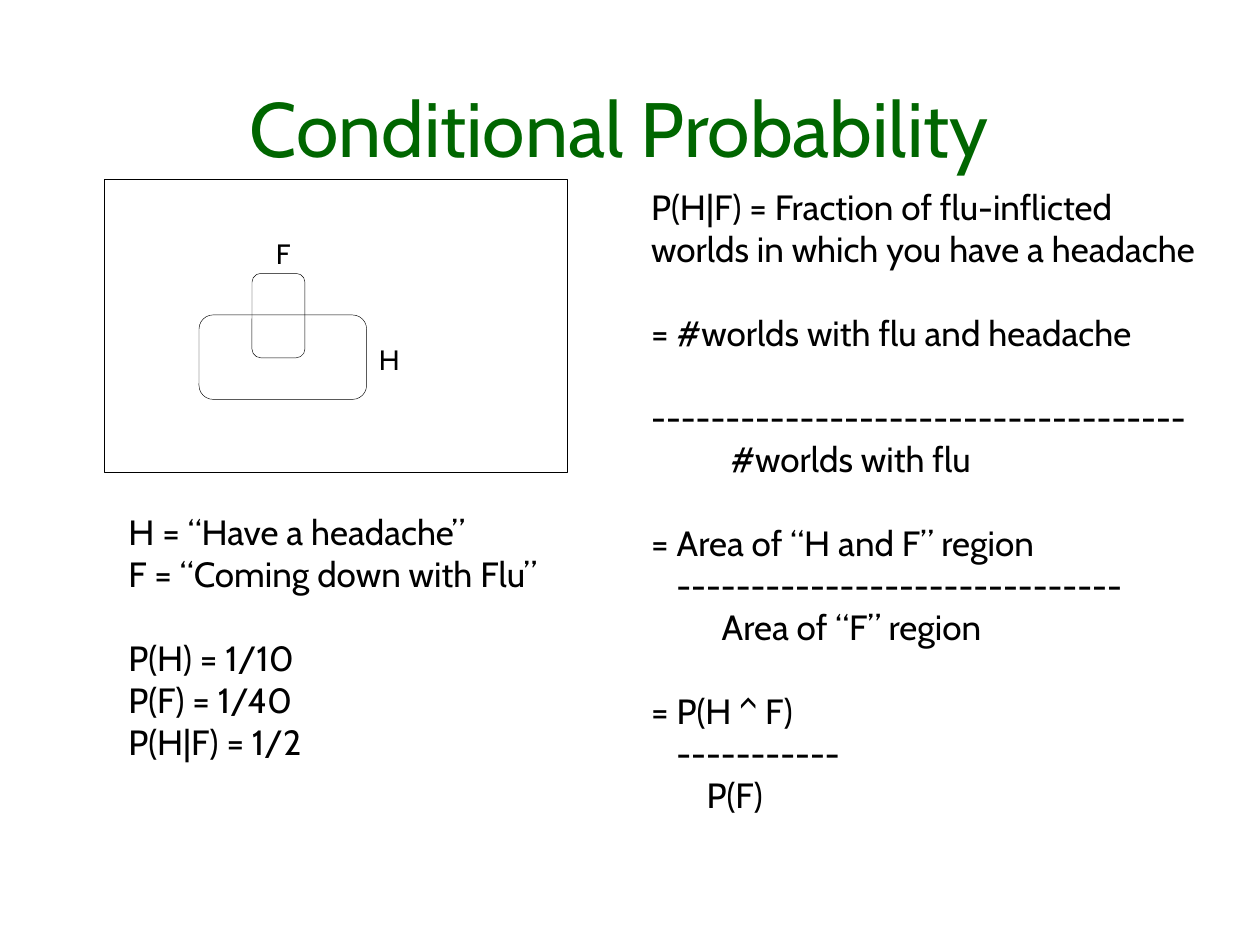
from pptx import Presentation
from pptx.dml.color import RGBColor
from pptx.enum.shapes import MSO_SHAPE
from pptx.enum.text import MSO_ANCHOR, PP_ALIGN
from pptx.util import Inches, Pt

RECT, ROUND = MSO_SHAPE.RECTANGLE, MSO_SHAPE.ROUNDED_RECTANGLE
LEFT, CENTER = PP_ALIGN.LEFT, PP_ALIGN.CENTER
TOP, BOTTOM = MSO_ANCHOR.TOP, MSO_ANCHOR.BOTTOM
FONT = "Cabin"
COLORS = {"title": "006600", "ink": "000000"}
GAP = 24  # points, one line of body text

# Content: each line is (text, indent in inches, space before in points)
TITLE = [("Conditional Probability", 0, 0)]
FACTS = [
    ("H = “Have a headache”", 0, 0),
    ("F = “Coming down with Flu”", 0, 0),
    ("P(H) = 1/10", 0, GAP),
    ("P(F) = 1/40", 0, 0),
    ("P(H|F) = 1/2", 0, 0),
]
STEPS = [
    ("P(H|F) = Fraction of flu-inflicted worlds in which you have a headache", 0, 0),
    ("= #worlds with flu and headache", 0, GAP),
    ("-" * 36, 0, GAP),
    ("#worlds with flu", 0.63, 0),
    ("= Area of “H and F” region", 0, GAP),
    ("-" * 30, 0.2, 0),
    ("Area of “F” region", 0.56, 0),
    ("= P(H ^ F)", 0, GAP),
    ("-" * 11, 0.2, 0),
    ("P(F)", 0.44, 0),
]
# Diagram: kind and box (left, top, width, height)
REGIONS = [
    (RECT, (0.83, 1.42, 3.67, 2.33)),
    (ROUND, (1.58, 2.5, 1.33, 0.67)),
    (ROUND, (2, 2.17, 0.42, 0.67)),
]
LABELS = [("F", (2.09, 1.83, 0.31, 0.37)), ("H", (2.91, 2.67, 0.36, 0.37))]


def add_text(shapes, lines, box, size, color="ink", align=LEFT, anchor=TOP, wrap=True):
    frame = shapes.add_textbox(*map(Inches, box)).text_frame
    frame.word_wrap = wrap
    frame.vertical_anchor = anchor
    for i, (text, indent, space) in enumerate(lines):
        para = frame.add_paragraph() if i else frame.paragraphs[0]
        para.text = text
        para.alignment = align
        para.space_before = Pt(space)
        para.font.name = FONT
        para.font.size = Pt(size)
        para.font.color.rgb = RGBColor.from_string(COLORS[color])
        if indent:
            props = para._p.get_or_add_pPr()
            props.set("marL", str(Inches(indent)))
            props.set("indent", "0")


def add_region(shapes, kind, box):
    shape = shapes.add_shape(kind, *map(Inches, box))
    shape.shadow.inherit = False
    shape.fill.background()
    shape.line.color.rgb = RGBColor.from_string(COLORS["ink"])
    shape.line.width = Pt(0.26)


deck = Presentation()
deck.slide_width, deck.slide_height = Inches(10), Inches(7.5)
slide = deck.slides.add_slide(deck.slide_layouts[6])

# Title
add_text(slide.shapes, TITLE, (0.25, 0.25, 9.33, 1.17), 44, "title", CENTER, BOTTOM)

# Venn diagram
venn = slide.shapes.add_group_shape().shapes
for kind, box in REGIONS:
    add_region(venn, kind, box)
for name, box in LABELS:
    add_text(venn, [(name, 0, 0)], box, 16, align=CENTER, wrap=False)

# Definitions and derivation
add_text(slide.shapes, FACTS, (0.92, 4, 3.67, 2.44), 20)
add_text(slide.shapes, STEPS, (5.07, 1.42, 4.64, 5.1), 20)

deck.save("out.pptx")
